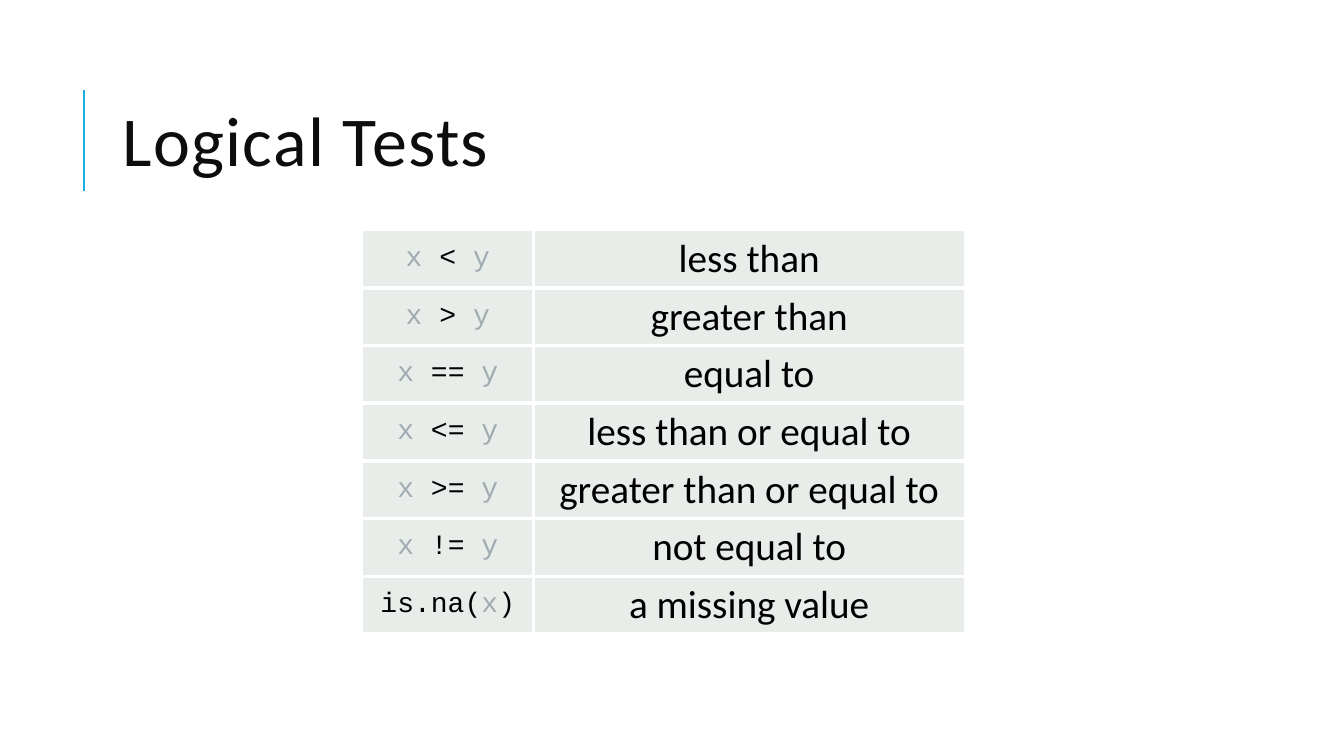
from typing import NamedTuple

from pptx import Presentation
from pptx.dml.color import RGBColor
from pptx.enum.shapes import MSO_CONNECTOR as Connector
from pptx.enum.text import MSO_ANCHOR as Anchor, PP_ALIGN as Align
from pptx.oxml import parse_xml
from pptx.oxml.ns import nsdecls
from pptx.util import Emu, Pt

ACCENT = RGBColor(0x1C, 0xAD, 0xE4)
TITLE_INK = RGBColor(0x0D, 0x0D, 0x0D)
BLACK = RGBColor(0, 0, 0)
VARIABLE_GREY = RGBColor(0xA1, 0xAC, 0xB2)
CELL_FILL = RGBColor(0xE8, 0xED, 0xE9)
BORDER = RGBColor(0xFF, 0xFF, 0xFF)

COLUMN_WIDTHS = (163, 411)
ROW_HEIGHT = 55


class Piece(NamedTuple):
    text: str
    color: RGBColor = BLACK


class LogicalTest(NamedTuple):
    code: tuple[Piece, ...]
    meaning: str


def comparison(operator: str, meaning: str) -> LogicalTest:
    code = (Piece("x", VARIABLE_GREY), Piece(f" {operator} "), Piece("y", VARIABLE_GREY))
    return LogicalTest(code, meaning)


TESTS = (
    comparison("<", "less than"),
    comparison(">", "greater than"),
    comparison("==", "equal to"),
    comparison("<=", "less than or equal to"),
    comparison(">=", "greater than or equal to"),
    comparison("!=", "not equal to"),
    LogicalTest((Piece("is.na("), Piece("x", VARIABLE_GREY), Piece(")")), "a missing value"),
)


def px(count: int) -> Emu:
    return Emu(count * 9525)


def add_pieces(paragraph, pieces: tuple[Piece, ...], font: str, size: int) -> None:
    for piece in pieces:
        run = paragraph.add_run()
        run.text = piece.text
        run.font.name = font
        run.font.size = Pt(size)
        run.font.color.rgb = piece.color


def add_accent_rule(slide) -> None:
    rule = slide.shapes.add_connector(Connector.STRAIGHT, px(80), px(182), px(80), px(86))
    rule.line.color.rgb = ACCENT
    rule.line.width = Pt(1.5)
    rule._element.spPr.append(parse_xml(f"<a:effectLst {nsdecls('a')}/>"))


def add_title(slide) -> None:
    title = slide.shapes.add_textbox(px(107), px(61), px(1020), px(157)).text_frame
    title.word_wrap = True
    title.vertical_anchor = Anchor.MIDDLE
    heading = title.paragraphs[0]
    heading.line_spacing = 0.8
    add_pieces(heading, (Piece("Logical Tests", TITLE_INK),), "Calibri", 50)
    heading.runs[0].font._element.set("spc", "100")


def style_cell(cell, sides: str) -> None:
    properties = cell._tc.get_or_add_tcPr()
    for side in sides:
        properties.append(parse_xml(
            f'<a:ln{side} {nsdecls("a")} w="{Pt(3)}"><a:solidFill>'
            f'<a:srgbClr val="{BORDER}"/></a:solidFill></a:ln{side}>'))
    cell.fill.solid()
    cell.fill.fore_color.rgb = CELL_FILL
    cell.vertical_anchor = Anchor.MIDDLE
    cell.text_frame.paragraphs[0].alignment = Align.CENTER


def add_tests_table(slide) -> None:
    table = slide.shapes.add_table(
        len(TESTS), len(COLUMN_WIDTHS), px(345), px(219),
        px(sum(COLUMN_WIDTHS)), px(ROW_HEIGHT * len(TESTS))).table
    table.first_row = False
    table.horz_banding = False
    for column, width in zip(table.columns, COLUMN_WIDTHS):
        column.width = px(width)
    for index, test in enumerate(TESTS):
        row_sides = "TB" if index else "B"
        code_cell, meaning_cell = table.rows[index].cells
        style_cell(code_cell, "R" + row_sides)
        style_cell(meaning_cell, "L" + row_sides)
        add_pieces(code_cell.text_frame.paragraphs[0], test.code, "Courier New", 20)
        add_pieces(meaning_cell.text_frame.paragraphs[0], (Piece(test.meaning),), "Calibri", 28)


def main() -> None:
    deck = Presentation()
    deck.slide_width, deck.slide_height = px(1280), px(720)
    slide = deck.slides.add_slide(deck.slide_layouts[6])
    add_accent_rule(slide)
    add_title(slide)
    add_tests_table(slide)
    deck.save("out.pptx")


if __name__ == "__main__":
    main()
